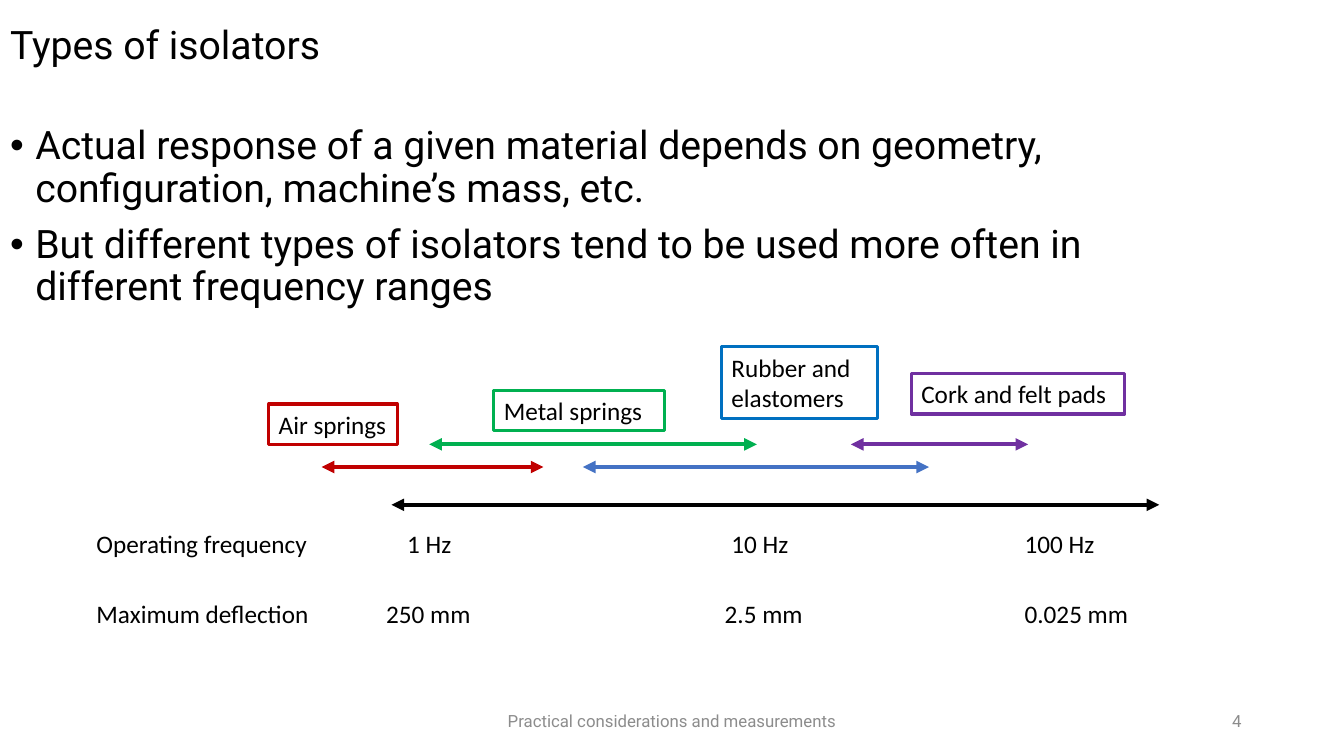
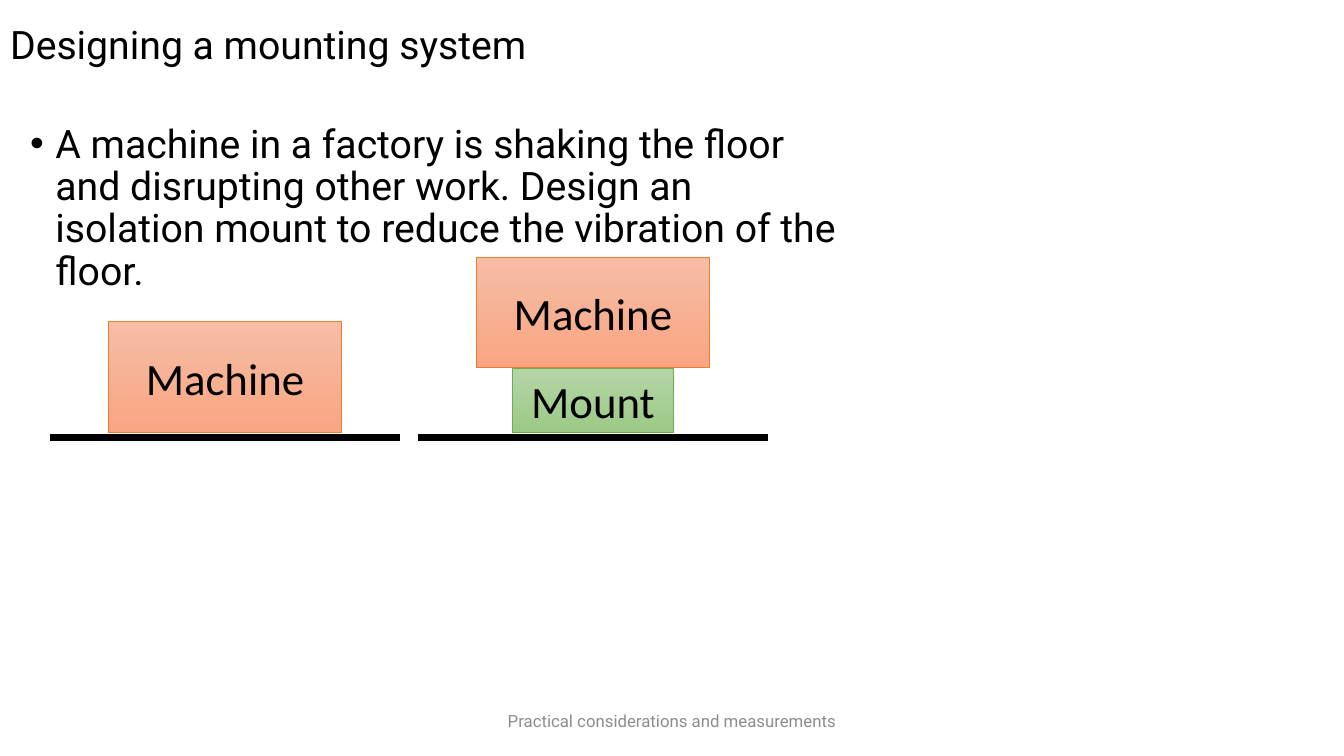
from lxml import etree
from pptx import Presentation
from pptx.dml.color import RGBColor
from pptx.enum.shapes import MSO_CONNECTOR, MSO_SHAPE
from pptx.enum.text import MSO_ANCHOR, MSO_AUTO_SIZE, PP_ALIGN
from pptx.oxml.ns import qn
from pptx.util import Inches, Pt

LEFT, CENTER, RIGHT = PP_ALIGN.LEFT, PP_ALIGN.CENTER, PP_ALIGN.RIGHT
TOP, MIDDLE = MSO_ANCHOR.TOP, MSO_ANCHOR.MIDDLE
NO_AUTOFIT = MSO_AUTO_SIZE.NONE
STRAIGHT, RECTANGLE = MSO_CONNECTOR.STRAIGHT, MSO_SHAPE.RECTANGLE

# Shared style
color = RGBColor.from_string
BLACK, GRAY = "000000", "8C8C8C"
RED, GREEN, PURPLE = "C00000", "00B050", "7030A0"
HEADING_FONT, LABEL_FONT = "Roboto", "Calibri"
FOOTER = "Practical considerations and measurements"

# Grid of 160 columns by 90 rows
deck = Presentation()
deck.slide_width, deck.slide_height = Inches(13.33), Inches(7.5)
COLUMN, ROW = deck.slide_width / 160, deck.slide_height / 90
LINE_HEIGHT = 4.8


def add_label(page, text, left, top, width, height=LINE_HEIGHT, size=18,
              font=LABEL_FONT, ink=BLACK, align=LEFT, anchor=TOP, border=None):
    box = page.shapes.add_textbox(int(left * COLUMN), int(top * ROW),
                                  int(width * COLUMN), int(height * ROW))
    frame = box.text_frame
    frame.word_wrap = True
    frame.vertical_anchor = anchor
    frame.text = text
    para = frame.paragraphs[0]
    para.alignment = align
    span = para.runs[0]
    span.font.name, span.font.size = font, Pt(size)
    span.font.color.rgb = color(ink)
    if border:
        box.line.color.rgb = color(border)
        box.line.width = Pt(2.25)


def add_line(page, start, end, row, ink, weight, arrows=False):
    line = page.shapes.add_connector(STRAIGHT, int(start * COLUMN), int(row * ROW),
                                     int(end * COLUMN), int(row * ROW))
    line.line.color.rgb = color(ink)
    line.line.width = Pt(weight)
    outline = line.get_or_add_ln()
    if arrows:
        for tag in ("a:headEnd", "a:tailEnd"):
            etree.SubElement(outline, qn(tag), type="triangle")
    etree.SubElement(outline.getparent(), qn("a:effectLst"))


# Titles, lists and footers
outlines = [
    ("Types of isolators", (0, 14.4, 138, 66.1),
     ["Actual response of a given material depends on geometry, "
      "configuration, machine’s mass, etc.",
      "But different types of isolators tend to be used more often in "
      "different frequency ranges"]),
    ("Designing a mounting system", (2.4, 14.2, 98.4, 72.1),
     ["A machine in a factory is shaking the floor and disrupting other work. "
      "Design an isolation mount to reduce the vibration of the floor."]),
]
pages = []
for heading, body_area, points in outlines:
    page = deck.slides.add_slide(deck.slide_layouts[1])
    pages.append(page)
    title, body = page.placeholders
    for holder, area, lines, anchor in ((title, (0, 0, 160, 11.2), [heading], MIDDLE),
                                        (body, body_area, points, TOP)):
        left, top, width, height = area
        holder.left, holder.top = int(left * COLUMN), int(top * ROW)
        holder.width, holder.height = int(width * COLUMN), int(height * ROW)
        frame = holder.text_frame
        frame.text = "\n".join(lines)
        frame.auto_size = NO_AUTOFIT
        frame.vertical_anchor = anchor
        for index, para in enumerate(frame.paragraphs):
            para.alignment = LEFT
            para.line_spacing = 0.9
            para.space_before = Pt(10 if index else 0)
            if holder is body:
                properties = para._p.get_or_add_pPr()
                properties.set("marL", str(Inches(0.25)))
                properties.set("indent", str(-Inches(0.25)))
            span = para.runs[0]
            span.font.name, span.font.size = HEADING_FONT, Pt(28)
            span.font.color.rgb = color(BLACK)
    add_label(page, FOOTER, 53, 83.4, 54, size=12, font=HEADING_FONT,
              ink=GRAY, align=CENTER, anchor=MIDDLE)

isolators, mounting = pages
add_label(isolators, "4", 113, 83.4, 36, size=12, font=HEADING_FONT,
          ink=GRAY, align=RIGHT, anchor=MIDDLE)

# Frequency axis and its two rows of values
add_line(isolators, 46.6, 138, 60.1, BLACK, 3, arrows=True)
scale_rows = [
    (62.3, [("Operating frequency", 10.3, 29), ("1 Hz", 47.3, 9.3),
            ("10 Hz", 85.9, 9.3), ("100 Hz", 120.8, 11.7)]),
    (70.6, [("Maximum deflection", 10.3, 28), ("250 mm", 44.8, 14.3),
            ("2.5 mm", 85.1, 14.3), ("0.025 mm", 120.8, 17.2)]),
]
for row, labels in scale_rows:
    for text, left, width in labels:
        add_label(isolators, text, left, row, width)

# Isolator types: range arrow and framed name
UPPER, LOWER = 52.9, 55.6
isolator_types = [
    ("Air springs", RED, RED, (38.3, 64.7, LOWER), (32, 48.1, 15.3, LINE_HEIGHT)),
    ("Metal springs", GREEN, GREEN, (51.1, 90.1, UPPER), (58.8, 46.5, 20.3, LINE_HEIGHT)),
    ("Rubber and elastomers", "4472C4", "0070C0", (69.4, 110.6, LOWER),
     (85.9, 41.3, 18.6, 8.5)),
    ("Cork and felt pads", PURPLE, PURPLE, (101.3, 122.4, UPPER),
     (108.5, 44.5, 25.4, LINE_HEIGHT)),
]
for name, arrow_color, border, span_range, area in isolator_types:
    add_line(isolators, *span_range, arrow_color, 3, arrows=True)
    add_label(isolators, name, *area, border=border)

# Machine on the floor, without and with a mount; parts stack upwards
FLOOR_LENGTH, FLOOR_ROW, STACK_BASE = 41.6, 52.1, 51.5
machine = ("Machine", 27.7, 13.2, ("F7BDA5", "F8A582"), "ED7D31")
mount = ("Mount", 19.2, 7.7, ("B5D5A7", "9CC987"), "70AD47")
for floor_left, stack in ((6, [machine]), (49.8, [mount, machine])):
    add_line(mounting, floor_left, floor_left + FLOOR_LENGTH, FLOOR_ROW, BLACK, 4.5)
    top = STACK_BASE
    for name, width, height, shades, border in stack:
        top -= height
        left = floor_left + (FLOOR_LENGTH - width) / 2
        block = mounting.shapes.add_shape(RECTANGLE, int(left * COLUMN), int(top * ROW),
                                          int(width * COLUMN), int(height * ROW))
        block.shadow.inherit = False
        block.fill.gradient()
        block.fill.gradient_angle = 270
        for stop, shade in zip(block.fill.gradient_stops, shades):
            stop.color.rgb = color(shade)
        block.line.color.rgb = color(border)
        block.line.width = Pt(0.5)
        frame = block.text_frame
        frame.text = name
        frame.vertical_anchor = MIDDLE
        para = frame.paragraphs[0]
        para.alignment = CENTER
        span = para.runs[0]
        span.font.name, span.font.size = LABEL_FONT, Pt(32)
        span.font.color.rgb = color(BLACK)

deck.save("out.pptx")
